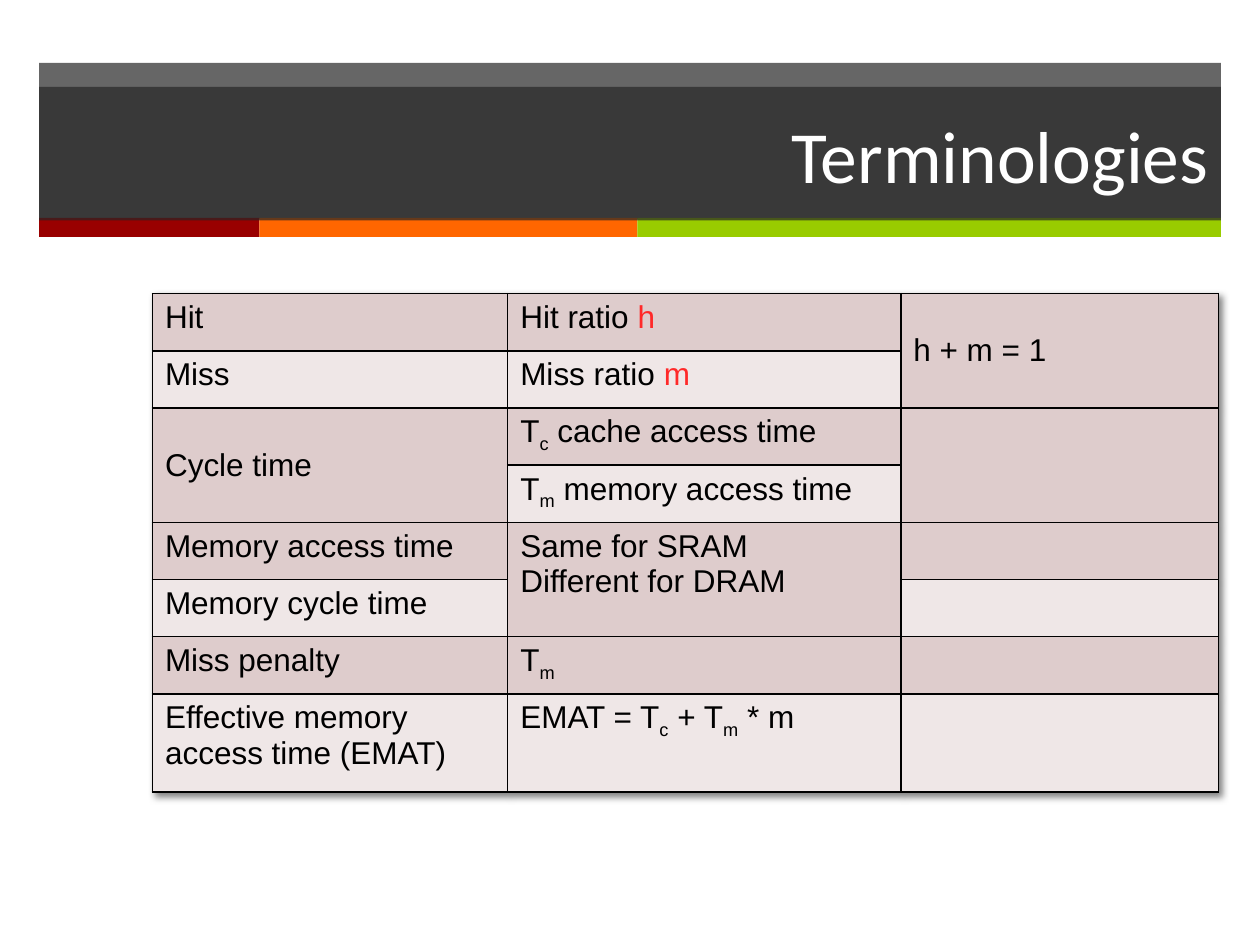
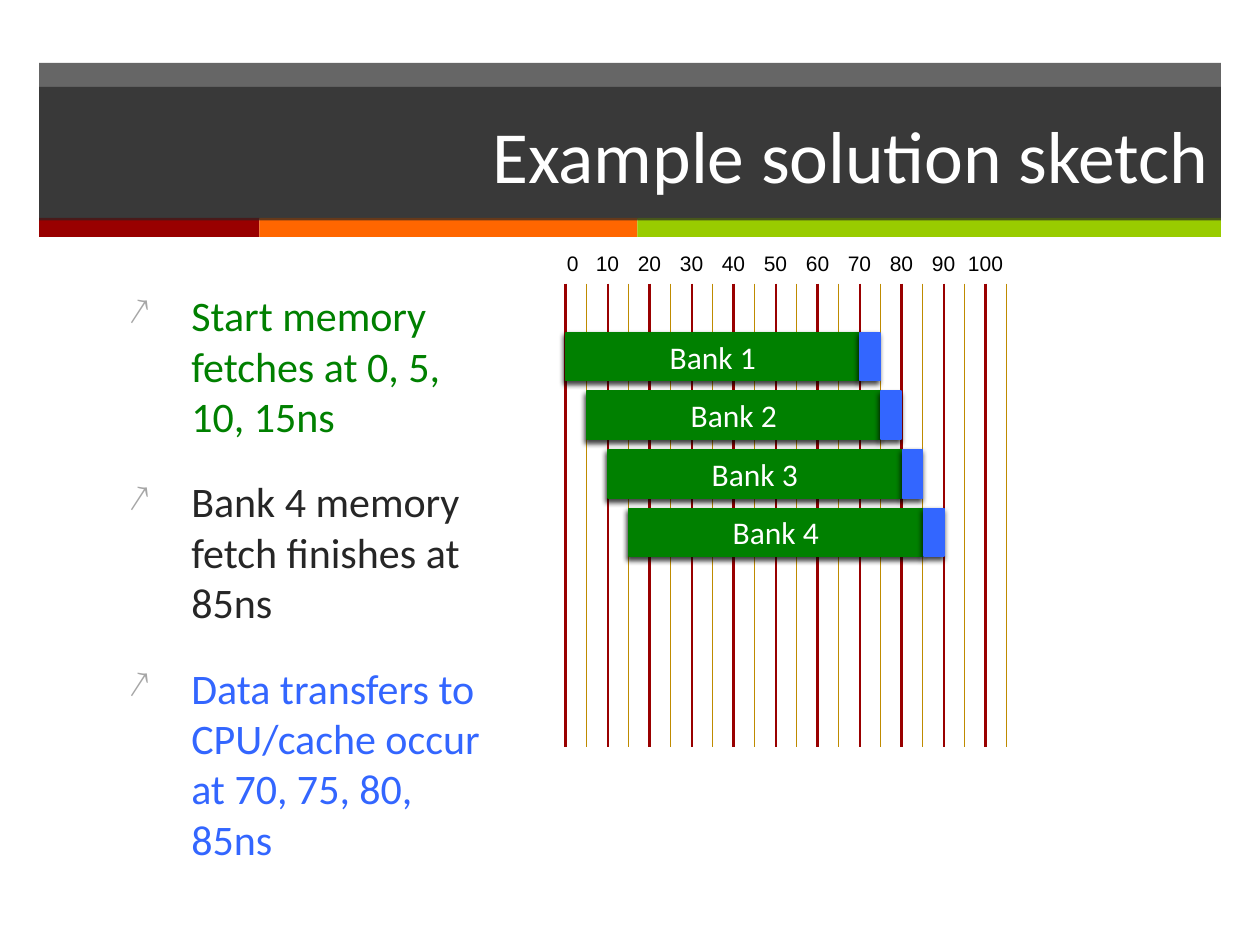
from typing import NamedTuple

from lxml import etree
from pptx import Presentation
from pptx.dml.color import RGBColor
from pptx.enum.shapes import MSO_CONNECTOR, MSO_SHAPE
from pptx.enum.text import MSO_ANCHOR, PP_ALIGN
from pptx.oxml import parse_xml
from pptx.oxml.ns import nsdecls, qn
from pptx.util import Inches, Pt

RECTANGLE = MSO_SHAPE.RECTANGLE
STRAIGHT = MSO_CONNECTOR.STRAIGHT
MIDDLE, TOP = MSO_ANCHOR.MIDDLE, MSO_ANCHOR.TOP
CENTER, RIGHT = PP_ALIGN.CENTER, PP_ALIGN.RIGHT

BLACK = RGBColor(0x00, 0x00, 0x00)
WHITE = RGBColor(0xFF, 0xFF, 0xFF)
CHARCOAL = RGBColor(0x26, 0x26, 0x26)
DARK_RED = RGBColor(0x99, 0x00, 0x00)
ORANGE = RGBColor(0xFF, 0x66, 0x00)
LIME = RGBColor(0x99, 0xCC, 0x00)
BRIGHT_RED = RGBColor(0xFF, 0x29, 0x29)
ROSE = RGBColor(0xDE, 0xCC, 0xCC)
PALE_ROSE = RGBColor(0xEF, 0xE7, 0xE7)
GREEN = RGBColor(0x00, 0x80, 0x00)
BLUE = RGBColor(0x33, 0x66, 0xFF)
GOLD = RGBColor(0xBF, 0x8B, 0x00)

HEADING_FONT, PLAIN_FONT = "Calibri", "Arial"
BAND_LEFT, BAND_WIDTH = 0.31, 9.38
BAND_OPACITY = 70

# Timeline scale: one step is 5 ns
AXIS_LEFT, STEP_WIDTH, STEP_NS = 4.49, 1 / 6, 5
GRID_TOP, GRID_BOTTOM = 2.25, 5.93


class Box(NamedTuple):
    left: float
    top: float
    width: float
    height: float


class Stripe(NamedTuple):
    left: float
    width: float
    color: RGBColor


class TextPart(NamedTuple):
    text: str
    color: RGBColor = BLACK
    subscript: bool = False


class TableCell(NamedTuple):
    row: int
    column: int
    lines: list[list[TextPart]]
    row_span: int = 1
    anchor: MSO_ANCHOR = TOP


class Bullet(NamedTuple):
    text: str
    color: RGBColor


STRIPES = [Stripe(0.31, 1.75, DARK_RED), Stripe(2.06, 3, ORANGE), Stripe(5.06, 4.63, LIME)]

T = TextPart("T")
SUB_C = TextPart("c", subscript=True)
SUB_M = TextPart("m", subscript=True)
COLUMN_WIDTHS = [2.82, 3.12, 2.52]
ROW_HEIGHTS = [3.18 / 7] * 7 + [0.78]
TERMS = [
    TableCell(0, 0, [[TextPart("Hit")]]),
    TableCell(0, 1, [[TextPart("Hit ratio "), TextPart("h", BRIGHT_RED)]]),
    TableCell(0, 2, [[TextPart("h + m = 1")]], 2, MIDDLE),
    TableCell(1, 0, [[TextPart("Miss")]]),
    TableCell(1, 1, [[TextPart("Miss ratio "), TextPart("m", BRIGHT_RED)]]),
    TableCell(2, 0, [[TextPart("Cycle time")]], 2, MIDDLE),
    TableCell(2, 1, [[T, SUB_C, TextPart(" cache access time")]]),
    TableCell(2, 2, [], 2),
    TableCell(3, 1, [[T, SUB_M, TextPart(" memory access time")]]),
    TableCell(4, 0, [[TextPart("Memory access time")]]),
    TableCell(4, 1, [[TextPart("Same for SRAM")], [TextPart("Different for DRAM")]], 2),
    TableCell(5, 0, [[TextPart("Memory cycle time")]]),
    TableCell(6, 0, [[TextPart("Miss penalty")]]),
    TableCell(6, 1, [[T, SUB_M]]),
    TableCell(7, 0, [[TextPart("Effective memory access time (EMAT)")]]),
    TableCell(7, 1, [[TextPart("EMAT = T"), SUB_C, TextPart(" + T"), SUB_M, TextPart(" * m")]]),
]

BULLETS = [
    Bullet("Start memory fetches at 0, 5, 10, 15ns", GREEN),
    Bullet("Bank 4 memory fetch finishes at 85ns", CHARCOAL),
    Bullet("Data transfers to CPU/cache occur at 70, 75, 80, 85ns", BLUE),
]


def style_font(font, name: str, size: float, color: RGBColor) -> None:
    font.name, font.size = name, Pt(size)
    font.color.rgb = color


def shadow_xml(blur: float, distance: float, angle: int, opacity: int):
    return parse_xml(
        f'<a:effectLst {nsdecls("a")}><a:outerShdw blurRad="{Pt(blur)}" dist="{Pt(distance)}" '
        f'dir="{angle * 60000}" rotWithShape="0"><a:srgbClr val="000000">'
        f'<a:alpha val="{opacity * 1000}"/></a:srgbClr></a:outerShdw></a:effectLst>')


def add_rectangle(slide, box: Box, color: RGBColor, opacity: int = 100):
    shape = slide.shapes.add_shape(RECTANGLE, *map(Inches, box))
    shape.shadow.inherit = False
    shape.fill.solid()
    shape.fill.fore_color.rgb = color
    shape.line.fill.background()
    if opacity < 100:
        color_element = shape.element.spPr.find(qn("a:solidFill"))[0]
        etree.SubElement(color_element, qn("a:alpha")).set("val", str(opacity * 1000))
    return shape


def label_shape(shape, text: str, size: float, alignment: PP_ALIGN) -> None:
    text_frame = shape.text_frame
    text_frame.text = text
    text_frame.word_wrap = True
    text_frame.vertical_anchor = MIDDLE
    paragraph = text_frame.paragraphs[0]
    paragraph.alignment = alignment
    style_font(paragraph.font, HEADING_FONT, size, WHITE)


def add_titled_slide(presentation, title: str):
    slide = presentation.slides.add_slide(presentation.slide_layouts[6])
    add_rectangle(slide, Box(BAND_LEFT, 0.5, BAND_WIDTH, 1.24), CHARCOAL, BAND_OPACITY)
    for stripe in STRIPES:
        add_rectangle(slide, Box(stripe.left, 1.73, stripe.width, 0.15), stripe.color)
    title_box = Box(BAND_LEFT, 0.69, BAND_WIDTH, 1.06)
    label_shape(add_rectangle(slide, title_box, CHARCOAL, BAND_OPACITY), title, 42, RIGHT)
    return slide


def style_cell(cell, color: RGBColor) -> None:
    properties = cell._tc.get_or_add_tcPr()
    for side in ("lnL", "lnR", "lnT", "lnB"):
        properties.append(parse_xml(
            f'<a:{side} {nsdecls("a")} w="{Pt(1)}"><a:solidFill>'
            f'<a:srgbClr val="{BLACK}"/></a:solidFill></a:{side}>'))
    cell.fill.solid()
    cell.fill.fore_color.rgb = color


def write_cell(table, entry: TableCell) -> None:
    cell = table.cell(entry.row, entry.column)
    if entry.row_span > 1:
        cell.merge(table.cell(entry.row + entry.row_span - 1, entry.column))
    cell.vertical_anchor = entry.anchor
    for index, line in enumerate(entry.lines):
        text_frame = cell.text_frame
        paragraph = text_frame.add_paragraph() if index else text_frame.paragraphs[0]
        for part in line:
            run = paragraph.add_run()
            run.text = part.text
            style_font(run.font, PLAIN_FONT, 18, part.color)
            if part.subscript:
                run.font._element.set("baseline", "-25000")


def add_terms_table(slide) -> None:
    frame = slide.shapes.add_table(len(ROW_HEIGHTS), len(COLUMN_WIDTHS), Inches(1.21),
                                   Inches(2.33), Inches(8.47), Inches(3.96))
    table = frame.table
    table.first_row = table.horz_banding = False
    table._tbl.tblPr.insert(0, shadow_xml(4, 3, 45, 50))
    for column, width in zip(table.columns, COLUMN_WIDTHS):
        column.width = Inches(width)
    for index, (row, height) in enumerate(zip(table.rows, ROW_HEIGHTS)):
        row.height = Inches(height)
        for cell in row.cells:
            style_cell(cell, PALE_ROSE if index % 2 else ROSE)
    for entry in TERMS:
        write_cell(table, entry)


def add_bullets(slide, box: Box) -> None:
    text_frame = slide.shapes.add_textbox(*map(Inches, box)).text_frame
    text_frame.word_wrap = True
    for index, bullet in enumerate(BULLETS):
        paragraph = text_frame.add_paragraph() if index else text_frame.paragraphs[0]
        paragraph.text = bullet.text
        properties = paragraph._p.get_or_add_pPr()
        properties.set("marL", str(Inches(0.5)))
        properties.set("indent", str(-Inches(0.5)))
        color = etree.SubElement(properties, qn("a:buClr"))
        etree.SubElement(color, qn("a:srgbClr")).set("val", "A6A6A6")
        etree.SubElement(properties, qn("a:buSzPct")).set("val", "90000")
        etree.SubElement(properties, qn("a:buChar")).set("char", "↗")
        if index:
            paragraph.space_before = Pt(20)
        style_font(paragraph.font, HEADING_FONT, 24, bullet.color)


def time_position(nanoseconds: int) -> float:
    return AXIS_LEFT + nanoseconds / STEP_NS * STEP_WIDTH


def add_time_grid(slide) -> None:
    for time in range(0, 106, STEP_NS):
        left = Inches(time_position(time))
        connector = slide.shapes.add_connector(
            STRAIGHT, left, Inches(GRID_TOP), left, Inches(GRID_BOTTOM))
        connector.line.color.rgb = GOLD if time % 10 else DARK_RED
        connector.line.width = Pt(0.5 if time % 10 else 1 if time % 20 else 2)
        etree.SubElement(connector.element.spPr, qn("a:effectLst"))


def add_time_labels(slide) -> None:
    box = Box(4.4, 1.94, 4.66, 0.3)
    times = range(0, 101, 10)
    text_frame = slide.shapes.add_textbox(*map(Inches, box)).text_frame
    text_frame.word_wrap = True
    paragraph = text_frame.paragraphs[0]
    paragraph.text = "\t".join(map(str, times))
    # Each label after the first is centred on its grid line
    tabs = etree.SubElement(paragraph._p.get_or_add_pPr(), qn("a:tabLst"))
    text_left = box.left + 0.1
    for time in times[1:]:
        tab = etree.SubElement(tabs, qn("a:tab"))
        tab.set("pos", str(Inches(time_position(time) - text_left)))
        tab.set("algn", "ctr")
    style_font(paragraph.font, PLAIN_FONT, 12, BLACK)


def add_bar(slide, box: Box, color: RGBColor):
    shape = add_rectangle(slide, box, color)
    shape.line.color.rgb = color
    shape.line.width = Pt(1)
    properties = shape.element.spPr
    properties.replace(properties.find(qn("a:effectLst")), shadow_xml(3, 2, 110, 75))
    return shape


def add_banks(slide) -> None:
    bar_height, transfer_step = 0.38, 0.17
    for index in range(4):
        top = 2.64 + 0.465 * index
        fetch = Box(time_position(index * STEP_NS), top, 14 * STEP_WIDTH, bar_height)
        label_shape(add_bar(slide, fetch, GREEN), f"Bank {index + 1}", 18, CENTER)
        transfer_left = time_position(70) + transfer_step * index
        add_bar(slide, Box(transfer_left, top, 0.16, bar_height), BLUE)


def main() -> None:
    presentation = Presentation()
    presentation.slide_width, presentation.slide_height = Inches(10), Inches(7.5)

    # Table of memory terms
    add_terms_table(add_titled_slide(presentation, "Terminologies"))

    # Timeline of interleaved memory banks
    slide = add_titled_slide(presentation, "Example solution sketch")
    add_bullets(slide, Box(0.92, 2.25, 3.14, 4.37))
    add_time_grid(slide)
    add_time_labels(slide)
    add_banks(slide)

    presentation.save("out.pptx")


if __name__ == "__main__":
    main()
